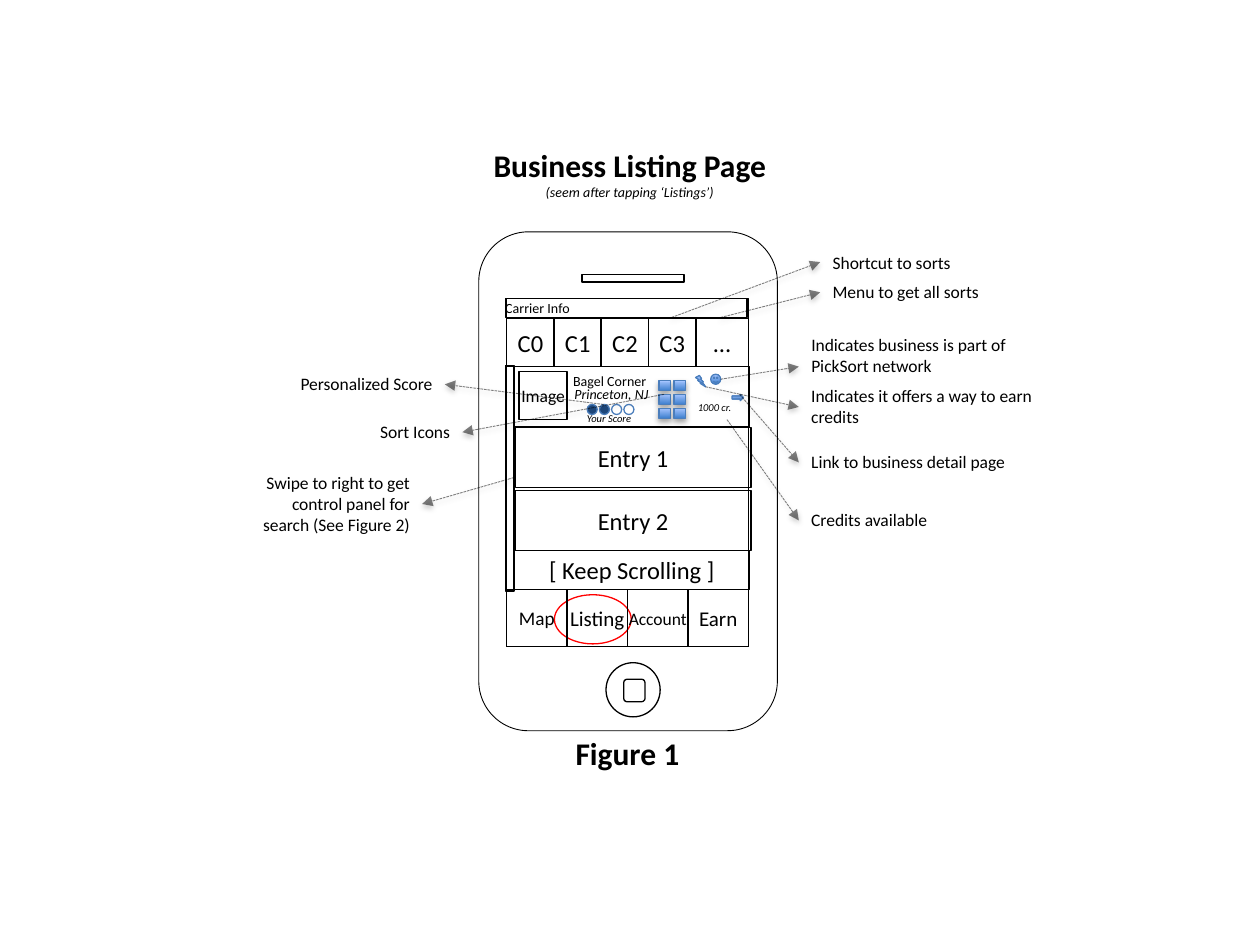
"""Build the annotated phone wireframe of the business listing page."""
from lxml.etree import SubElement
from pptx import Presentation
from pptx.dml.color import RGBColor
from pptx.enum.dml import MSO_LINE
from pptx.enum.shapes import MSO_CONNECTOR, MSO_SHAPE
from pptx.enum.text import MSO_ANCHOR, MSO_AUTO_SIZE, PP_ALIGN
from pptx.oxml.ns import qn
from pptx.util import Inches, Pt

COLORS = {"ink": "000000", "accent": "4B7EBC", "score": "1F497D", "empty": "FFFFFF",
          "deep": "3F80CE", "light": "A4C4FF", "highlight": "FF0000"}
LEFT, CENTER, RIGHT = PP_ALIGN.LEFT, PP_ALIGN.CENTER, PP_ALIGN.RIGHT
RECT, OVAL, ROUND = MSO_SHAPE.RECTANGLE, MSO_SHAPE.OVAL, MSO_SHAPE.ROUNDED_RECTANGLE

SORTS = ["C0", "C1", "C2", "C3", "…"]
TABS = [("Map", 11), ("Listing", 12), ("Account", 10), ("Earn", 12)]
SCORE_DOTS = ["score", "score", "empty", "empty"]
PANELS = [
    (4.08, 2.91, 1.87, 0.48, "", 14),
    (4.12, 2.95, 0.38, 0.38, "Image", 10),
    (4.09, 3.39, 1.87, 0.48, "Entry 1", 14),
    (4.09, 3.89, 1.87, 0.48, "Entry 2", 14),
    (4.08, 4.37, 1.87, 0.31, "[ Keep Scrolling ]", 14),
]
FRAMES = [
    (RECT, 4.02, 2.37, 1.92, 2.76, "ink", 0.75),
    (RECT, 4.01, 2.9, 0.07, 1.79, "ink", 0.75),
    (OVAL, 4.4, 4.72, 0.61, 0.39, "highlight", 0.75),
    (ROUND, 3.8, 1.84, 2.37, 3.96, "ink", 0.5),
    (OVAL, 4.81, 5.26, 0.43, 0.43, "ink", 0.75),
    (ROUND, 4.95, 5.39, 0.17, 0.18, "ink", 0.75),
    (RECT, 4.62, 2.18, 0.81, 0.06, "ink", 0.75),
]
ICONS = [
    (MSO_SHAPE.LIGHTNING_BOLT, 5.52, 2.98, 0.08, 0.09),
    (MSO_SHAPE.RIGHT_ARROW, 5.81, 3.13, 0.09, 0.05),
    (MSO_SHAPE.SMILEY_FACE, 5.64, 2.97, 0.08, 0.08),
]
BUSINESS_LABELS = [
    (4.45, 2.91, 1.06, 0.24, "Bagel Corner", 8, False),
    (4.46, 3.01, 1.06, 0.24, "Princeton, NJ", 8, True),
    (4.56, 3.22, 0.67, 0.2, "Your Score", 6, True),
    (5.44, 3.13, 0.67, 0.2, "1000 cr.", 6, True),
]
CALLOUTS = [
    ((5.33, 2.52), (6.51, 2.08), (6.51, 1.95, 1.96, 0.27), LEFT, "Shortcut to sorts"),
    ((5.72, 2.52), (6.51, 2.32), (6.51, 2.18, 1.96, 0.27), LEFT, "Menu to get all sorts"),
    ((5.72, 3.01), (6.34, 2.91), (6.34, 2.6, 1.82, 0.61), LEFT,
     "Indicates business is part of PickSort network"),
    ((5.6, 3.07), (6.34, 3.23), (6.34, 3.01, 2.34, 0.44), LEFT,
     "Indicates it offers a way to earn credits"),
    ((5.87, 3.13), (6.34, 3.67), (6.34, 3.53, 1.96, 0.27), LEFT, "Link to business detail page"),
    ((5.77, 3.33), (6.34, 4.13), (6.34, 3.99, 1.96, 0.27), LEFT, "Credits available"),
    ((4.79, 3.21), (3.53, 3.05), (1.57, 2.91, 1.96, 0.27), RIGHT, "Personalized Score"),
    ((5.27, 3.13), (3.67, 3.43), (1.71, 3.29, 1.96, 0.27), RIGHT, "Sort Icons"),
    ((4.08, 3.79), (3.35, 4), (1.95, 3.7, 1.4, 0.61), RIGHT,
     "Swipe to right to get control panel for search (See Figure 2)"),
]

deck = Presentation()
deck.slide_width, deck.slide_height = Inches(10), Inches(7.5)
page = deck.slides.add_slide(deck.slide_layouts[6])


def color(name):
    return RGBColor.from_string(COLORS[name])


def add_shadow(properties, distance, opacity):
    effects = properties.find(qn("a:effectLst"))
    if effects is None:
        effects = SubElement(properties, qn("a:effectLst"))
    shadow = SubElement(effects, qn("a:outerShdw"), blurRad=str(Pt(3.1)),
                        dist=str(Pt(distance)), dir="5400000", rotWithShape="0")
    tint = SubElement(shadow, qn("a:srgbClr"), val=COLORS["ink"])
    SubElement(tint, qn("a:alpha"), val=str(opacity * 1000))


def write(paragraph, text, size, align, bold=False, italic=False):
    paragraph.text = text
    paragraph.alignment = align
    font = paragraph.font
    font.name, font.size, font.bold, font.italic = "Calibri", Pt(size), bold, italic
    font.color.rgb = color("ink")


def add_outline(kind, place, line="ink", width=0.75):
    shape = page.shapes.add_shape(kind, *map(Inches, place))
    shape.shadow.inherit = False
    shape.fill.background()
    shape.line.color.rgb = color(line)
    shape.line.width = Pt(width)
    return shape


def add_panel(place, text, size, align=CENTER):
    shape = add_outline(RECT, place)
    if text:
        frame = shape.text_frame
        frame.margin_left = frame.margin_right = 0
        frame.vertical_anchor = MSO_ANCHOR.MIDDLE
        frame.word_wrap = True
        write(frame.paragraphs[0], text, size, align)


def add_icon(kind, place):
    shape = add_outline(kind, place, "accent")
    shape.fill.gradient()
    shape.fill.gradient_angle = 90
    for stop, name, position in zip(shape.fill.gradient_stops, ("deep", "light"), (0, 1)):
        stop.color.rgb = color(name)
        stop.position = position
    return shape


def add_label(place, text, size, align=LEFT, **style):
    box = page.shapes.add_textbox(*map(Inches, place))
    frame = box.text_frame
    frame.word_wrap = True
    frame.auto_size = MSO_AUTO_SIZE.SHAPE_TO_FIT_TEXT
    write(frame.paragraphs[0], text, size, align, **style)
    return frame


def add_pointer(start, end):
    arrow = page.shapes.add_connector(MSO_CONNECTOR.STRAIGHT, *map(Inches, start + end))
    arrow.line.color.rgb = color("ink")
    arrow.line.width = Pt(0.5)
    arrow.line.dash_style = MSO_LINE.SQUARE_DOT
    properties = arrow.element.spPr
    line = properties.find(qn("a:ln"))
    SubElement(line.find(".//" + qn("a:srgbClr")), qn("a:alpha"), val="50000")
    SubElement(line, qn("a:tailEnd"), type="triangle")
    add_shadow(properties, 1.6, 38)


for kind, *place, line, width in FRAMES:
    add_outline(kind, place, line, width)
add_panel((4.01, 2.37, 1.92, 0.15), "Carrier Info", 8, LEFT)
for column, name in enumerate(SORTS):
    add_panel((4.02 + column * 0.375, 2.53, 0.42 if name == "…" else 0.38, 0.38), name, 14)
for column, (name, size) in enumerate(TABS):
    add_panel((4.02 + column * 0.48, 4.68, 0.48, 0.45), name, size)
for *place, text, size in PANELS:
    add_panel(place, text, size)

for column, name in enumerate(SCORE_DOTS):
    dot = add_outline(OVAL, (4.66 + column * 0.097, 3.21, 0.08, 0.08), "accent")
    dot.fill.solid()
    dot.fill.fore_color.rgb = color(name)
for kind, *place in ICONS:
    add_icon(kind, place)
for column in range(2):
    for row in range(3):
        tile = add_icon(RECT, (5.23 + column * 0.12, 3.02 + row * 0.11, 0.09, 0.08))
        add_shadow(tile.element.spPr, 1.8, 35)
for *place, text, size, italic in BUSINESS_LABELS:
    add_label(place, text, size, italic=italic)

for start, end, place, align, text in CALLOUTS:
    add_pointer(start, end)
    add_label(place, text, 10, align)

title = add_label((3.15, 1.11, 3.7, 0.54), "Business Listing Page", 18, CENTER, bold=True)
write(title.add_paragraph(), "(seem after tapping ‘Listings’)", 8, CENTER, italic=True)
add_label((3.13, 5.78, 3.7, 0.61), "Figure 1", 18, CENTER, bold=True)

deck.save("out.pptx")
